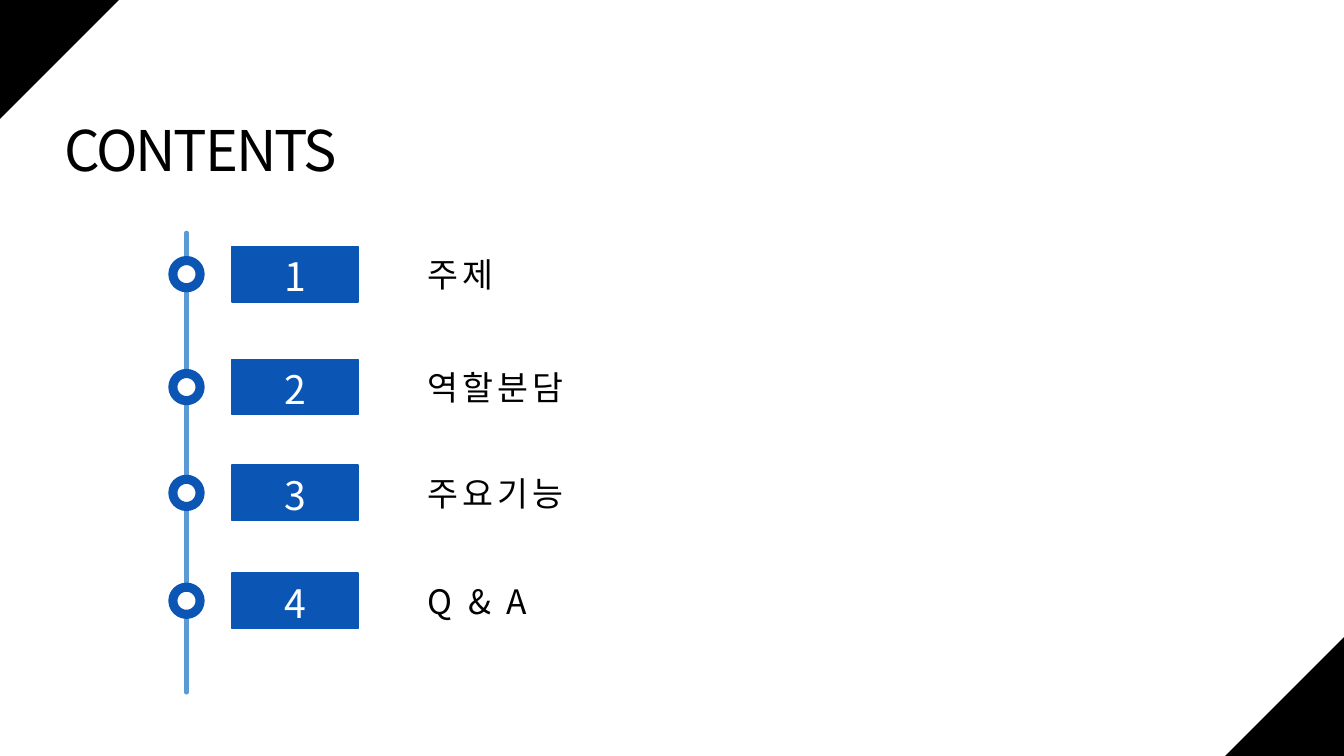
from dataclasses import dataclass

from lxml import etree
from pptx import Presentation
from pptx.dml.color import RGBColor
from pptx.enum.shapes import MSO_CONNECTOR, MSO_SHAPE
from pptx.enum.text import MSO_AUTO_SIZE, PP_ALIGN
from pptx.oxml.ns import qn
from pptx.util import Inches, Pt

LINE = MSO_CONNECTOR.STRAIGHT
TRIANGLE, OVAL, RECTANGLE = MSO_SHAPE.RIGHT_TRIANGLE, MSO_SHAPE.OVAL, MSO_SHAPE.RECTANGLE
CORNER = MSO_SHAPE.ISOSCELES_TRIANGLE
LEFT, CENTER = PP_ALIGN.LEFT, PP_ALIGN.CENTER
FIT_TEXT = MSO_AUTO_SIZE.SHAPE_TO_FIT_TEXT

# Content: label, width of its box, middle of its row
TITLE = "CONTENTS"
ITEMS = [
    ("주제", 0.9, 2.72),
    ("역할분담", 1.6, 3.84),
    ("주요기능", 1.6, 4.89),
    ("Q & A", 1.28, 5.96),
]


@dataclass(frozen=True)
class Theme:
    font: str = "Noto Sans CJK KR"
    black: str = "000000"
    white: str = "FFFFFF"
    blue: str = "0B55B5"
    light_blue: str = "5B9BD5"
    title_size: int = 40
    number_size: int = 28
    label_size: int = 24


THEME = Theme()

# Layout in inches
WIDTH, HEIGHT = 13.33, 7.5
CORNER_SIZE = 1.18
TIMELINE_X, TIMELINE_TOP, TIMELINE_BOTTOM = 1.85, 2.31, 6.87
DOT = 0.27
BADGE_X, BADGE_WIDTH, BADGE_HEIGHT = 2.3, 1.25, 0.55
NUMBER_WIDTH, NUMBER_HEIGHT, NUMBER_DROP = 0.45, 0.57, 0.02
LABEL_X, LABEL_HEIGHT = 4.14, 0.5


def add_block(shapes, kind, left, top, width, height, fill, line=None, line_width=0):
    shape = shapes.add_shape(kind, Inches(left), Inches(top), Inches(width), Inches(height))
    shape.shadow.inherit = False
    shape.fill.solid()
    shape.fill.fore_color.rgb = RGBColor.from_string(fill)
    if line:
        shape.line.color.rgb = RGBColor.from_string(line)
        shape.line.width = Pt(line_width)
    else:
        shape.line.fill.background()
    return shape


def add_text(shapes, text, left, top, width, height, size, color, spacing=0, align=LEFT):
    box = shapes.add_textbox(Inches(left), Inches(top), Inches(width), Inches(height))
    frame = box.text_frame
    frame.word_wrap = False
    frame.auto_size = FIT_TEXT
    frame.text = text
    paragraph = frame.paragraphs[0]
    paragraph.alignment = align
    font = paragraph.runs[0].font
    font.size = Pt(size)
    font.color.rgb = RGBColor.from_string(color)
    font.name = THEME.font
    # Korean typeface and letter spacing (hundredths of a point)
    properties = paragraph.runs[0]._r.get_or_add_rPr()
    etree.SubElement(properties, qn("a:ea")).set("typeface", THEME.font)
    if spacing:
        properties.set("spc", str(round(spacing * 100)))


def add_timeline(shapes):
    line = shapes.add_connector(LINE, Inches(TIMELINE_X), Inches(TIMELINE_TOP),
                                Inches(TIMELINE_X), Inches(TIMELINE_BOTTOM))
    line.line.color.rgb = RGBColor.from_string(THEME.light_blue)
    line.line.width = Pt(3)
    line.line._get_or_add_ln().set("cap", "rnd")
    etree.SubElement(line._element.spPr, qn("a:effectLst"))


def add_item(shapes, number, label, label_width, middle):
    add_block(shapes, OVAL, TIMELINE_X - DOT / 2, middle - DOT / 2, DOT, DOT,
              THEME.white, THEME.blue, 6.5)
    badge = shapes.add_group_shape().shapes
    add_block(badge, RECTANGLE, BADGE_X, middle - BADGE_HEIGHT / 2,
              BADGE_WIDTH, BADGE_HEIGHT, THEME.blue, THEME.blue, 1)
    add_text(badge, str(number), BADGE_X + (BADGE_WIDTH - NUMBER_WIDTH) / 2,
             middle - NUMBER_HEIGHT / 2 + NUMBER_DROP, NUMBER_WIDTH, NUMBER_HEIGHT,
             THEME.number_size, THEME.white, align=CENTER)
    add_text(shapes, label, LABEL_X, middle - LABEL_HEIGHT / 2, label_width, LABEL_HEIGHT,
             THEME.label_size, THEME.black, spacing=3)


def main():
    presentation = Presentation()
    presentation.slide_width, presentation.slide_height = Inches(WIDTH), Inches(HEIGHT)
    slide = presentation.slides.add_slide(presentation.slide_layouts[6])
    shapes = slide.shapes

    # Black corners
    for left, top, rotation in [(0, 0, 90), (WIDTH - CORNER_SIZE, HEIGHT - CORNER_SIZE, 270)]:
        corner = add_block(shapes, CORNER, left, top, CORNER_SIZE, CORNER_SIZE, THEME.black)
        corner.adjustments[0] = 0
        corner.rotation = rotation

    # Title and numbered timeline
    add_text(shapes, TITLE, 0.54, 1.1, 2.95, 0.77, THEME.title_size, THEME.black, spacing=-1.5)
    add_timeline(shapes)
    for number, item in enumerate(ITEMS, start=1):
        add_item(shapes, number, *item)

    presentation.save("out.pptx")


if __name__ == "__main__":
    main()
